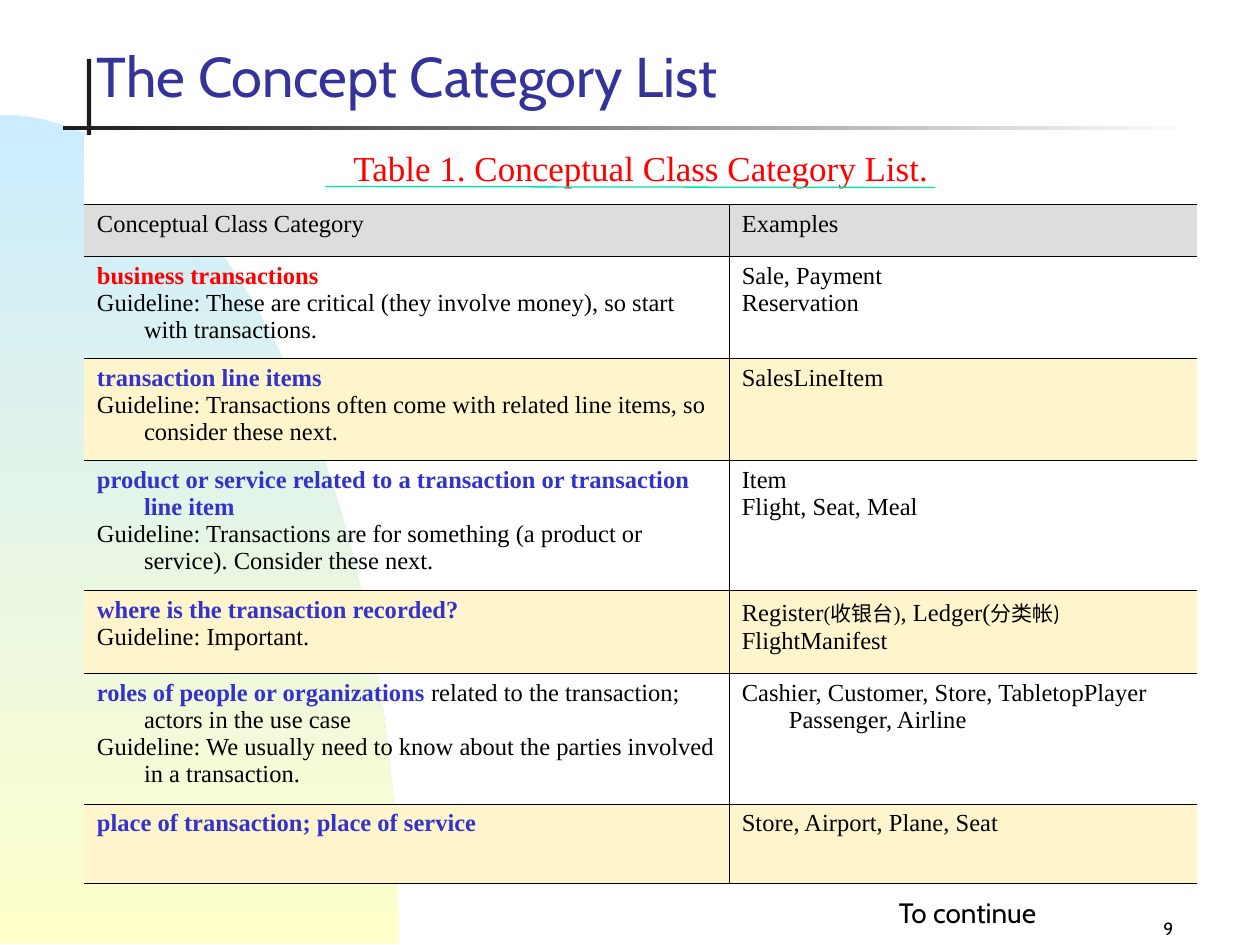
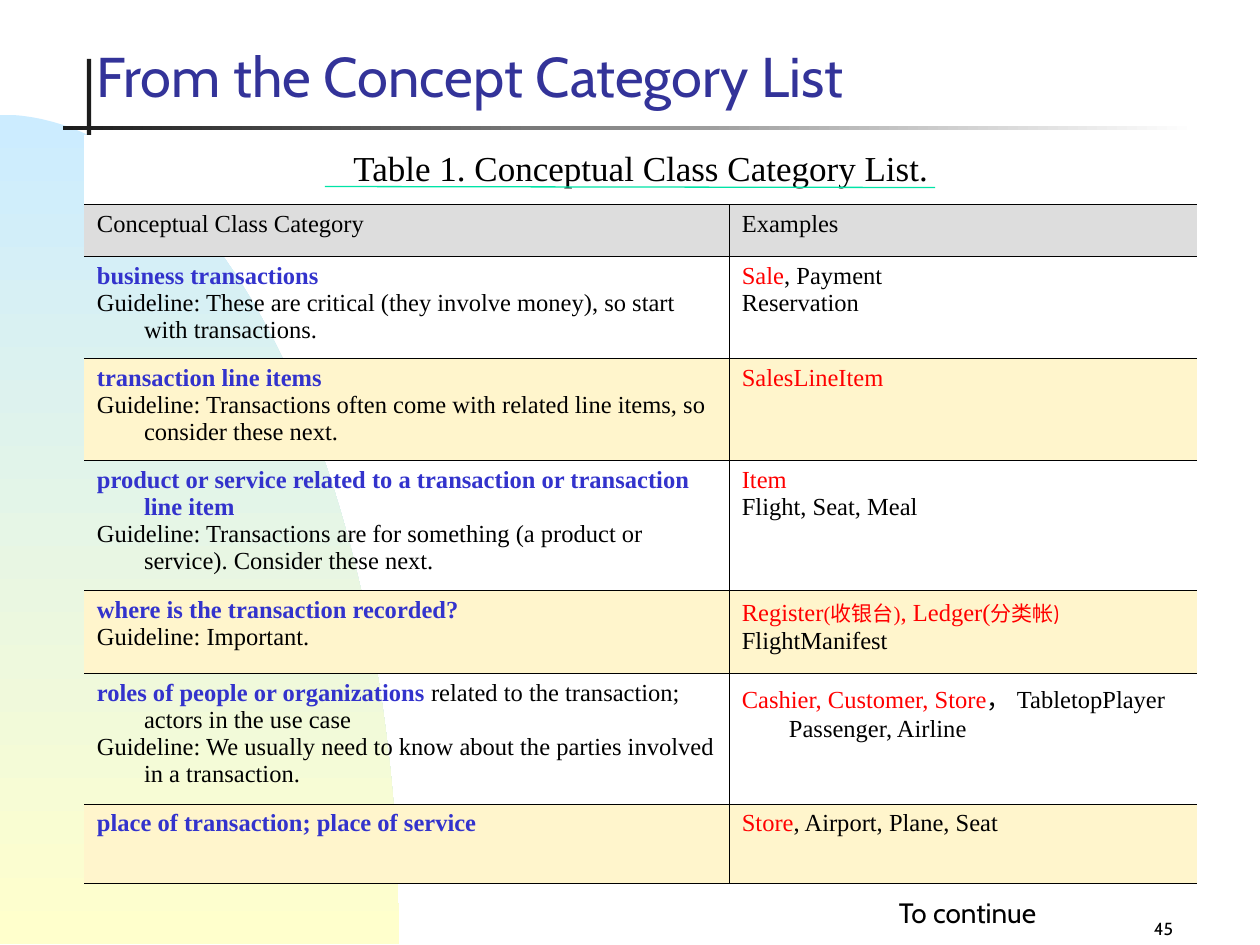
"""Build two slides that show the conceptual class category list."""
import math

import lxml.etree
import pptx
import pptx.dml.color
import pptx.enum.shapes
import pptx.enum.text
import pptx.oxml.ns
import pptx.util

Cm, Pt = pptx.util.Cm, pptx.util.Pt
ALIGN = pptx.enum.text.PP_ALIGN
ANCHOR = pptx.enum.text.MSO_ANCHOR
qn = pptx.oxml.ns.qn

COLOURS = {
    "title": "333399", "text": "000000", "red": "FF0000", "category": "3333CC",
    "ink": "1C1C1C", "white": "FFFFFF", "sky": "CCECFF", "sand": "FFFFCC",
    "header": "DDDDDD", "band": "FFF5CC", "underline": "00E4A7",
}
SANS, SERIF = "Cabin", "Times New Roman"
FORMATS = {
    "title": {"size": Pt(32), "name": SANS, "bold": False},
    "number": {"size": Pt(10), "name": SANS, "bold": False},
    "continue": {"size": Pt(16), "name": SANS, "bold": False},
    "caption": {"size": Pt(20), "name": SERIF, "bold": False},
    "cell": {"size": Pt(14), "name": SERIF, "bold": False},
    "strong": {"size": Pt(14), "name": SERIF, "bold": True},
    "gloss": {"size": Pt(12), "name": SERIF, "bold": False},
    "gloss_sans": {"size": Pt(12), "name": SANS, "bold": False},
}
COLUMN_WIDTHS = (13, 9.44)
ROW_HEIGHTS = (1.4, 1.04, 2.06, 2.06, 2.62, 1.67, 2.62, 1.6)
HANGING = Cm(0.95)
CAPTION = "Table 1. Conceptual Class Category List."
HEADINGS = ("Conceptual Class Category", "Examples")
CATEGORIES = (
    ("business transactions", "",
     "Guideline: These are critical (they involve money), so start with transactions."),
    ("transaction line items", "",
     "Guideline: Transactions often come with related line items, so consider these next."),
    ("product or service related to a transaction or transaction line item", "",
     "Guideline: Transactions are for something (a product or service). "
     "Consider these next."),
    ("where is the transaction recorded?", "", "Guideline: Important."),
    ("roles of people or organizations",
     " related to the transaction; actors in the use case",
     "Guideline: We usually need to know about the parties involved in a transaction."),
    ("place of transaction; place of service", "", ""),
)
PAGES = (
    {"title": "The Concept Category List", "number": "9", "caption": "red",
     "first_category": "red", "example": "text", "comma": ","},
    {"title": "From the Concept Category List", "number": "45", "caption": "text",
     "first_category": "category", "example": "red", "comma": "，"},
)


def rgb(colour):
    return pptx.dml.color.RGBColor.from_string(COLOURS[colour])


def set_values(target, values):
    for name, value in values.items():
        setattr(target, name, value)


def write_spans(para, spans):
    for text, form, colour in spans:
        span = para.add_run()
        span.text = text
        set_values(span.font, FORMATS[form])
        span.font.color.rgb = rgb(colour)


def write_lines(frame, lines, align=ALIGN.LEFT, hanging=0):
    for index, spans in enumerate(lines):
        para = frame.add_paragraph() if index else frame.paragraphs[0]
        para.alignment = align
        if hanging:
            properties = para._p.get_or_add_pPr()
            properties.set("marL", str(hanging))
            properties.set("indent", str(-hanging))
        write_spans(para, spans)


def paint(shape, colours, angle=0):
    shape.shadow.inherit = False
    shape.line.fill.background()
    if len(colours) == 1:
        shape.fill.solid()
        shape.fill.fore_color.rgb = rgb(colours[0])
        return
    shape.fill.gradient()
    shape.fill.gradient_angle = angle
    for stop, colour in zip(shape.fill.gradient_stops, colours):
        stop.color.rgb = rgb(colour)


def add_bar(page, left, top, width, height, colours):
    bar = page.shapes.add_shape(pptx.enum.shapes.MSO_SHAPE.RECTANGLE,
                                Cm(left), Cm(top), Cm(width), Cm(height))
    paint(bar, colours)


def add_quarter_ellipse(page, top, width, height, steps=60):
    bottom = top + height
    angles = [math.pi / 2 * step / steps for step in range(steps + 1)]
    arc = [(Cm(width * math.sin(angle)), Cm(bottom - height * math.cos(angle)))
           for angle in angles]
    builder = page.shapes.build_freeform(*arc[0])
    builder.add_line_segments(arc[1:] + [(0, Cm(bottom))], close=True)
    paint(builder.convert_to_shape(), ("sky", "sand"), angle=270)


def add_backdrop(page):
    add_quarter_ellipse(page, 2.31, 8.05, 16.72)
    add_bar(page, 1.75, 1.19, 0.09, 2.92, ("ink",))
    add_bar(page, 1.27, 2.54, 22.86, 0.08, ("ink", "white"))


def add_title(page, text):
    title = page.shapes.title
    set_values(title, {"left": Cm(1.7), "top": Cm(0.42),
                       "width": Cm(17.98), "height": Cm(1.9)})
    set_values(title.text_frame, {"vertical_anchor": ANCHOR.BOTTOM, "word_wrap": True})
    write_lines(title.text_frame, [[(text, "title", "title")]])


def add_label(page, text, form, area, align, anchor):
    box = page.shapes.add_textbox(*map(Cm, area))
    set_values(box.text_frame, {"word_wrap": True, "vertical_anchor": anchor})
    write_lines(box.text_frame, [[(text, form, "text")]], align)


def set_borders(cell, visible):
    properties = cell._tc.get_or_add_tcPr()
    for side in "LRTB":
        line = lxml.etree.SubElement(properties, qn(f"a:ln{side}"), w=str(Pt(0.34)))
        if side in visible:
            fill = lxml.etree.SubElement(line, qn("a:solidFill"))
            lxml.etree.SubElement(fill, qn("a:srgbClr"), val=COLOURS["text"])
        else:
            lxml.etree.SubElement(line, qn("a:noFill"))


def fill_cell(cell, colour):
    if colour:
        cell.fill.solid()
        cell.fill.fore_color.rgb = rgb(colour)
    else:
        cell.fill.background()


def category_lines(category, colour):
    heading, rest, guideline = category
    lines = [[(heading, "strong", colour)]]
    if rest:
        lines[0].append((rest, "cell", "text"))
    if guideline:
        lines.append([(guideline, "cell", "text")])
    return lines


def example_lines(colour, comma):
    def line(marked, rest=""):
        spans = [(marked, "cell", colour), (rest, "cell", "text")]
        return [span for span in spans if span[0]]

    register = [("Register", "cell", colour), ("(收银台)", "gloss", colour),
                (", Ledger(", "cell", colour), ("分类帐)", "gloss_sans", colour)]
    return (
        [line("Sale", ", Payment"), line("", "Reservation")],
        [line("SalesLineItem")],
        [line("Item"), line("", "Flight, Seat, Meal")],
        [register, line("", "FlightManifest")],
        [line("Cashier, Customer, Store",
              f"{comma} TabletopPlayer Passenger, Airline")],
        [line("Store", ", Airport, Plane, Seat")],
    )


def table_rows(content):
    rows = [[[[(heading, "cell", "text")]] for heading in HEADINGS]]
    examples = example_lines(content["example"], content["comma"])
    for index, (category, example) in enumerate(zip(CATEGORIES, examples)):
        colour = "category" if index else content["first_category"]
        rows.append([category_lines(category, colour), example])
    return rows


def add_category_table(page, content):
    frame = page.shapes.add_table(len(ROW_HEIGHTS), len(COLUMN_WIDTHS), Cm(1.7), Cm(2.72),
                                  Cm(sum(COLUMN_WIDTHS)), Cm(sum(ROW_HEIGHTS)))
    table = frame.table
    set_values(table, {"first_row": False, "horz_banding": False})
    for column, width in zip(table.columns, COLUMN_WIDTHS):
        column.width = Cm(width)
    for row, height in zip(table.rows, ROW_HEIGHTS):
        row.height = Cm(height)

    caption = table.cell(0, 0)
    for cell in table.rows[0].cells:
        set_borders(cell, "B")
        fill_cell(cell, "white")
    caption.merge(table.cell(0, 1))
    caption.vertical_anchor = ANCHOR.MIDDLE
    write_lines(caption.text_frame, [[(CAPTION, "caption", content["caption"])]],
                ALIGN.CENTER, HANGING)

    for number, texts in enumerate(table_rows(content), start=1):
        stripe = "band" if number % 2 else None
        for column, lines in enumerate(texts):
            cell = table.cell(number, column)
            set_borders(cell, "LTB" if column else "RTB")
            fill_cell(cell, "header" if number == 1 else stripe)
            write_lines(cell.text_frame, lines, hanging=HANGING)


def add_underline(page):
    line = page.shapes.add_connector(pptx.enum.shapes.MSO_CONNECTOR.STRAIGHT,
                                     Cm(6.55), Cm(3.76), Cm(18.85), Cm(3.78))
    line.line.color.rgb = rgb("underline")
    line.line.width = Pt(0.75)
    lxml.etree.SubElement(line._element.spPr, qn("a:effectLst"))


def add_page(deck, content):
    page = deck.slides.add_slide(deck.slide_layouts[5])
    add_backdrop(page)
    add_label(page, content["number"], "number", (18.62, 18.21, 5.28, 0.84),
              ALIGN.RIGHT, ANCHOR.BOTTOM)
    add_title(page, content["title"])
    add_category_table(page, content)
    add_label(page, "To continue", "continue", (15.9, 17.93, 7.21, 0.94),
              ALIGN.CENTER, ANCHOR.TOP)
    add_underline(page)


def main():
    deck = pptx.Presentation()
    set_values(deck, {"slide_width": Cm(25.4), "slide_height": Cm(19.05)})
    for content in PAGES:
        add_page(deck, content)
    deck.save("out.pptx")


if __name__ == "__main__":
    main()
